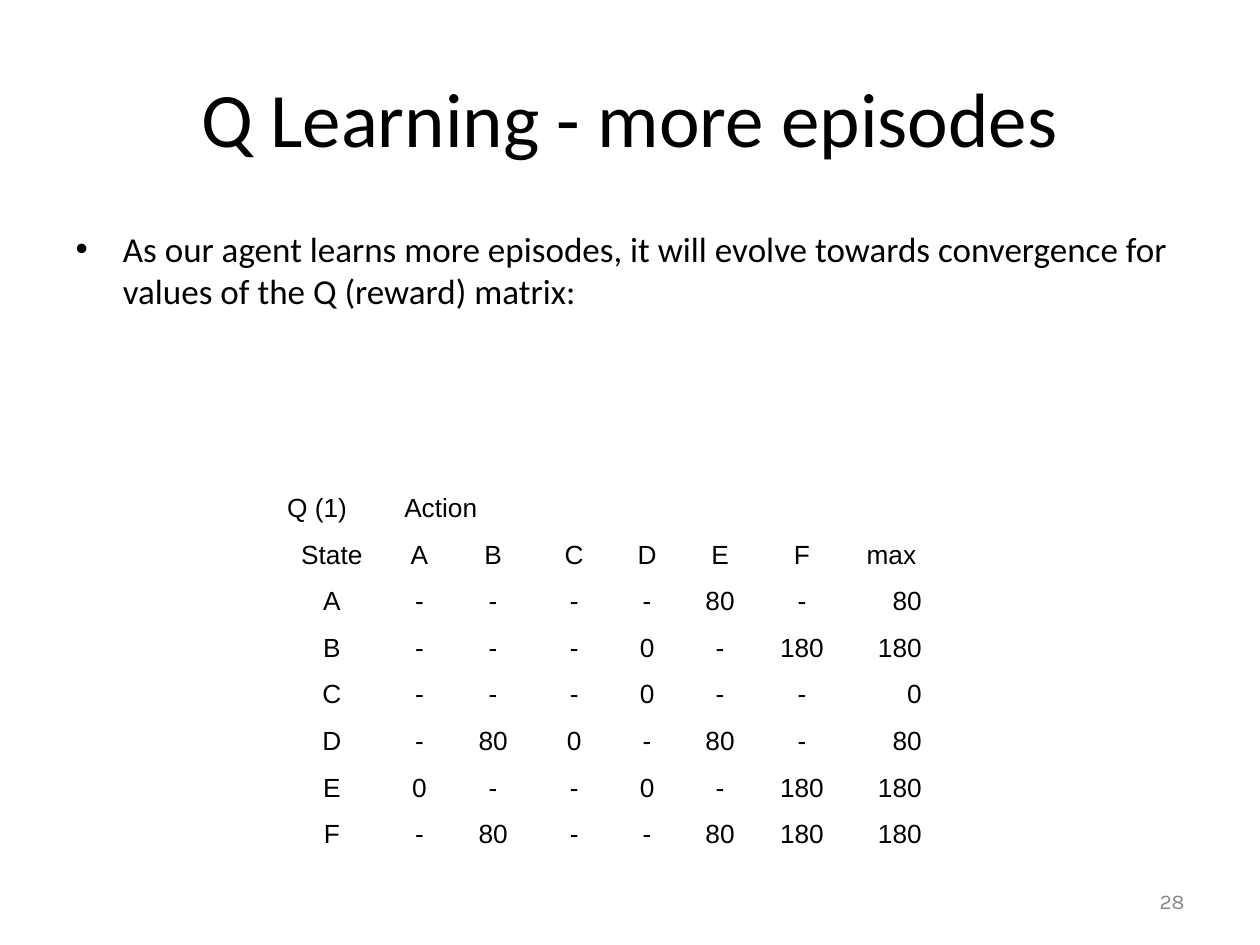
from pptx import Presentation
from pptx.dml.color import RGBColor
from pptx.enum.text import MSO_ANCHOR as Anchor, MSO_AUTO_SIZE as AutoSize, PP_ALIGN as Align
from pptx.util import Cm, Pt

BLACK = RGBColor(0x00, 0x00, 0x00)
GRAY = RGBColor(0x89, 0x89, 0x89)


def format_paragraph(paragraph, font_name, size, color, alignment):
    paragraph.alignment = alignment
    paragraph.space_before = Pt(0)
    paragraph.font.name = font_name
    paragraph.font.size = Pt(size)
    paragraph.font.color.rgb = color


presentation = Presentation()
presentation.slide_width = Cm(25.4)
presentation.slide_height = Cm(19.05)
slide = presentation.slides.add_slide(presentation.slide_layouts[1])

# Title and bullet
title = slide.shapes.title
body = slide.placeholders[1]
for shape, top, height, text, size, alignment in (
    (title, 0.76, 3.18, "Q Learning - more episodes", 44, Align.CENTER),
    (body, 4.45, 12.57, "As our agent learns more episodes, it will evolve towards "
     "convergence for values of the Q (reward) matrix:", 20, Align.LEFT),
):
    shape.left, shape.top = Cm(1.27), Cm(top)
    shape.width, shape.height = Cm(22.86), Cm(height)
    shape.text_frame.text = text
    shape.text_frame.auto_size = AutoSize.NONE
    format_paragraph(shape.text_frame.paragraphs[0], "Calibri", size, BLACK, alignment)
title.text_frame.vertical_anchor = Anchor.MIDDLE

# Slide number
number_box = slide.shapes.add_textbox(Cm(18.2), Cm(17.65), Cm(5.93), Cm(1.02))
number_box.text_frame.word_wrap = True
number_box.text_frame.vertical_anchor = Anchor.MIDDLE
number_box.text_frame.text = "28"
format_paragraph(number_box.text_frame.paragraphs[0], "Karla", 12, GRAY, Align.RIGHT)

# Q matrix
q_rows = [
    ["Q (1)", "Action", "", "", "", "", "", ""],
    ["State", "A", "B", "C", "D", "E", "F", "max"],
    ["A", "-", "-", "-", "-", "80", "-", "80"],
    ["B", "-", "-", "-", "0", "-", "180", "180"],
    ["C", "-", "-", "-", "0", "-", "-", "0"],
    ["D", "-", "80", "0", "-", "80", "-", "80"],
    ["E", "0", "-", "-", "0", "-", "180", "180"],
    ["F", "-", "80", "-", "-", "80", "180", "180"],
]
column_widths = [2.36, 1.17, 1.8, 1.47, 1.47, 1.47, 1.83, 1.78]
row_heights = [1.78] + [0.94] * 7

table = slide.shapes.add_table(
    len(q_rows), len(column_widths), Cm(5.51), Cm(8.89),
    Cm(sum(column_widths)), Cm(sum(row_heights)),
).table
table.first_row = False
table.horz_banding = False
for column, width in zip(table.columns, column_widths):
    column.width = Cm(width)
for row, height in zip(table.rows, row_heights):
    row.height = Cm(height)
table.cell(0, 1).merge(table.cell(0, 2))

for row_index, values in enumerate(q_rows):
    for column_index, value in enumerate(values):
        cell = table.cell(row_index, column_index)
        cell.fill.background()
        if not value:
            continue
        cell.text = value
        cell.vertical_anchor = Anchor.BOTTOM
        cell.margin_left = cell.margin_right = Cm(0.28)
        cell.margin_top = cell.margin_bottom = Cm(0.13)
        if row_index == 0:
            alignment = Align.LEFT
        elif row_index > 1 and column_index == len(values) - 1:
            alignment = Align.RIGHT
        else:
            alignment = Align.CENTER
        format_paragraph(cell.text_frame.paragraphs[0], "Arial", 15, BLACK, alignment)

presentation.save("out.pptx")
